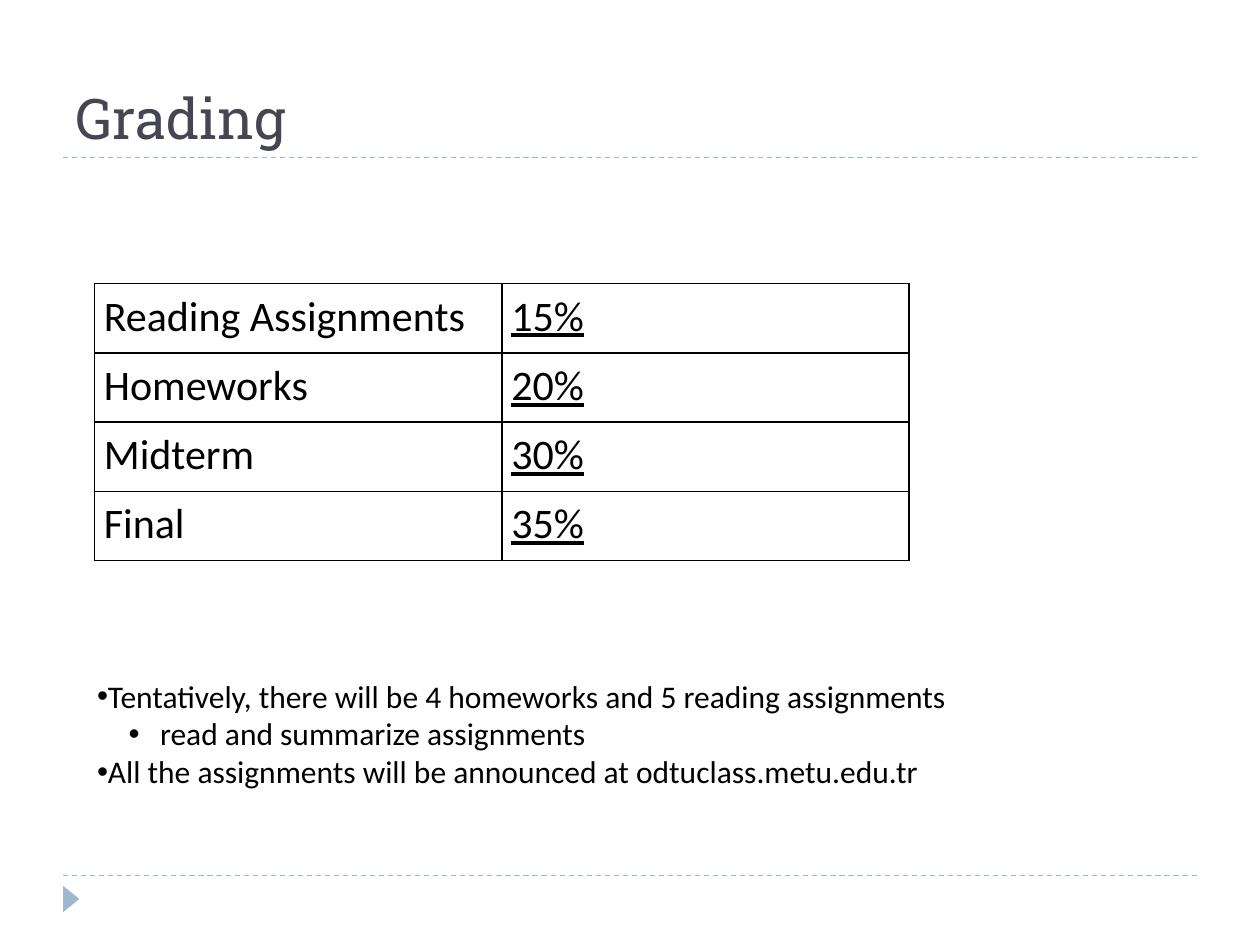
from pptx import Presentation
from pptx.dml.color import RGBColor
from pptx.enum.dml import MSO_LINE
from pptx.enum.shapes import MSO_CONNECTOR, MSO_SHAPE
from pptx.enum.text import MSO_ANCHOR, MSO_AUTO_SIZE, PP_ALIGN
from pptx.oxml.ns import qn
from pptx.util import Pt
from lxml import etree

DASH = MSO_LINE.DASH
LINE = MSO_CONNECTOR.STRAIGHT
TRI = MSO_SHAPE.ISOSCELES_TRIANGLE
BASE = MSO_ANCHOR.BOTTOM
TOP = MSO_ANCHOR.TOP
LEFT = PP_ALIGN.LEFT
FIXED = MSO_AUTO_SIZE.NONE

TITLE = "Grading"
GRADES = [
    ("Reading Assignments", "15%"),
    ("Homeworks", "20%"),
    ("Midterm", "30%"),
    ("Final", "35%"),
]
NOTES = [
    (0, "Tentatively, there will be 4 homeworks and 5 reading assignments"),
    (1, "read and summarize assignments"),
    (0, "All the assignments will be announced at odtuclass.metu.edu.tr"),
]
INDENT = [(0, 0), (36, -18)]
RULES = [90, 500.4]
COL_W, ROW_H = 232.8, 39.6
BLUE, BLACK, SLATE = "9FB8CD", "000000", "464653"


def color(code):
    return RGBColor.from_string(code)


def style(font, name, size, code):
    font.name = name
    font.size = Pt(size)
    font.color.rgb = color(code)


def place(shape, x, y, w, h):
    shape.left, shape.top = Pt(x), Pt(y)
    shape.width, shape.height = Pt(w), Pt(h)


def add_rule(slide, y):
    rule = slide.shapes.add_connector(LINE, Pt(36), Pt(y), Pt(684), Pt(y))
    rule.line.color.rgb = color(BLUE)
    rule.line.width = Pt(0.75)
    rule.line.dash_style = DASH
    etree.SubElement(rule._element.spPr, qn("a:effectLst"))


def add_mark(slide):
    mark = slide.shapes.add_shape(TRI, Pt(33.12), Pt(509.04), Pt(15.12), Pt(9.36))
    mark.rotation = 90
    mark.shadow.inherit = False
    mark.fill.solid()
    mark.fill.fore_color.rgb = color(BLUE)
    mark.line.fill.background()


def add_title(slide):
    title = slide.shapes.title
    place(title, 36, 12.24, 648, 77.76)
    frame = title.text_frame
    frame.text = TITLE
    frame.vertical_anchor = BASE
    frame.auto_size = FIXED
    para = frame.paragraphs[0]
    para.alignment = LEFT
    style(para.runs[0].font, "Roboto Slab", 32, SLATE)


def add_border(cell):
    props = cell._tc.get_or_add_tcPr()
    for i, side in enumerate(("lnL", "lnR", "lnT", "lnB")):
        edge = etree.Element(qn("a:" + side), w=str(Pt(1)))
        fill = etree.SubElement(edge, qn("a:solidFill"))
        etree.SubElement(fill, qn("a:srgbClr"), val=BLACK)
        props.insert(i, edge)


def add_grades(slide):
    rows, cols = len(GRADES), len(GRADES[0])
    table = slide.shapes.add_table(
        rows, cols, Pt(54), Pt(162), Pt(COL_W * cols), Pt(ROW_H * rows)
    ).table
    table.first_row = table.horz_banding = False
    for col in table.columns:
        col.width = Pt(COL_W)
    for r, row in enumerate(GRADES):
        table.rows[r].height = Pt(ROW_H)
        for c, text in enumerate(row):
            cell = table.cell(r, c)
            cell.text_frame.text = text
            cell.margin_left = cell.margin_right = Pt(5.4)
            cell.margin_top = cell.margin_bottom = 0
            cell.vertical_anchor = TOP
            cell.fill.background()
            add_border(cell)
            para = cell.text_frame.paragraphs[0]
            para.line_spacing = 1.15
            font = para.runs[0].font
            style(font, "Calibri", 24, BLACK)
            font.underline = c == 1


def add_notes(slide):
    body = slide.placeholders[1]
    place(body, 48.24, 383.04, 504, 72.72)
    frame = body.text_frame
    frame.text = "\n".join(text for _, text in NOTES)
    frame.auto_size = FIXED
    frame.word_wrap = False
    for para, (level, _) in zip(frame.paragraphs, NOTES):
        para.level = level
        para.space_before = Pt(0)
        props = para._p.get_or_add_pPr()
        left, hang = INDENT[level]
        props.set("marL", str(Pt(left)))
        props.set("indent", str(Pt(hang)))
        etree.SubElement(props, qn("a:buFont"), typeface="Arial")
        etree.SubElement(props, qn("a:buChar"), char="•")
        style(para.runs[0].font, "Calibri", 18, BLACK)


def main():
    deck = Presentation()
    deck.slide_width, deck.slide_height = Pt(720), Pt(540)
    slide = deck.slides.add_slide(deck.slide_layouts[1])
    for y in RULES:
        add_rule(slide, y)
    add_mark(slide)
    add_title(slide)
    add_grades(slide)
    add_notes(slide)
    deck.save("out.pptx")


if __name__ == "__main__":
    main()
